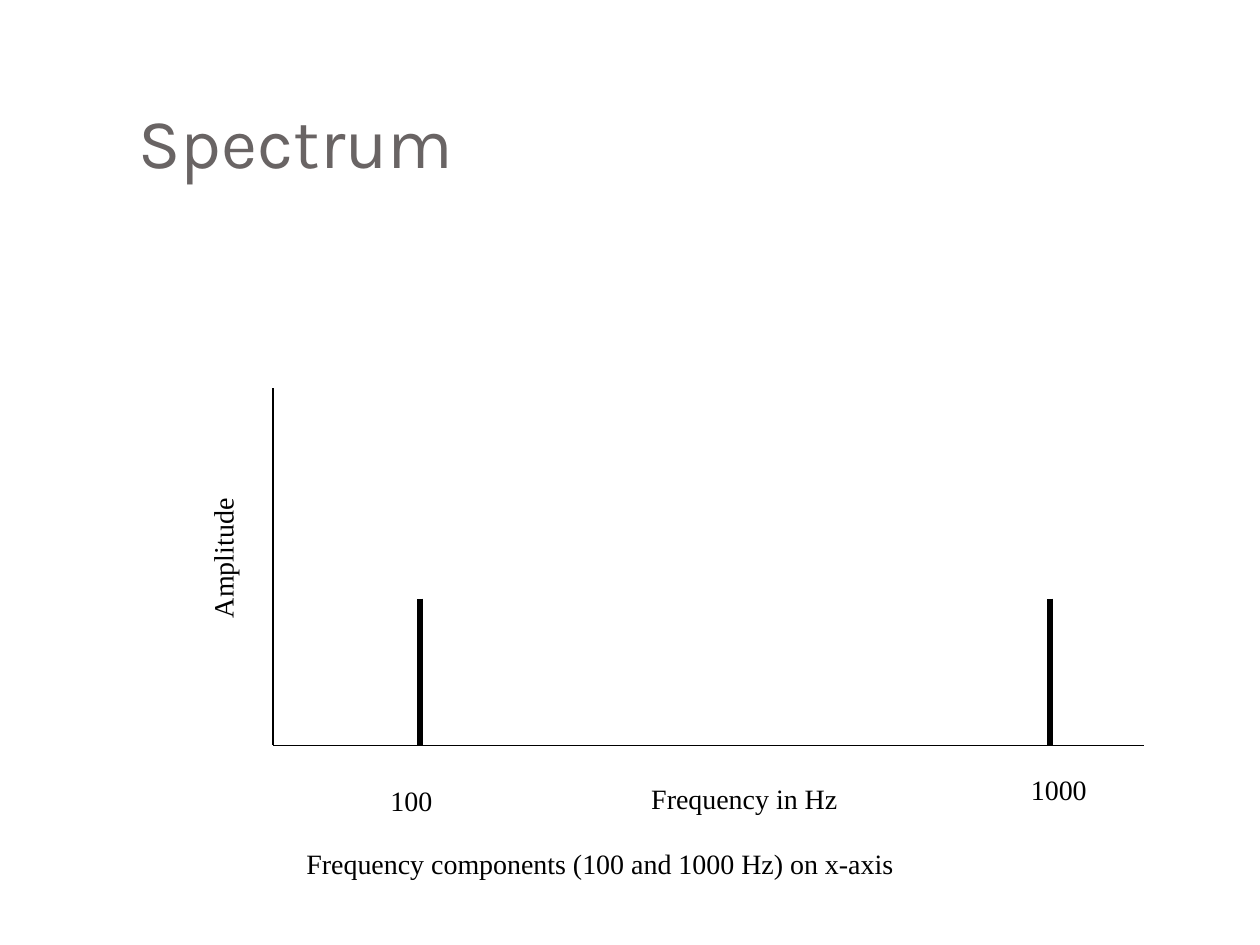
from typing import NamedTuple

from lxml.etree import SubElement
from pptx import Presentation
from pptx.dml.color import RGBColor
from pptx.enum.shapes import MSO_CONNECTOR as Connector
from pptx.enum.text import MSO_ANCHOR as Anchor, MSO_AUTO_SIZE as AutoSize, PP_ALIGN as Align
from pptx.oxml.ns import qn
from pptx.util import Inches, Pt

BLACK = RGBColor(0, 0, 0)
GREY = RGBColor(0x69, 0x64, 0x64)
UNIT = Inches(10) // 120
ORIGIN_COLUMN, BASE_ROW = 26, 71
TOP_ROW, PEAK_ROW, END_COLUMN = 37, 57, 109
LABEL_ROWS = 4.44


class Stroke(NamedTuple):
    start: tuple[float, float]
    end: tuple[float, float]
    weight: float


class Label(NamedTuple):
    text: str
    column: float
    row: float
    columns: float
    wrap: bool = True
    rotation: float = 0


STROKES = [
    Stroke((ORIGIN_COLUMN, TOP_ROW), (ORIGIN_COLUMN, BASE_ROW), 0.75),
    Stroke((ORIGIN_COLUMN, BASE_ROW), (END_COLUMN, BASE_ROW), 0.75),
    *(Stroke((column, PEAK_ROW), (column, BASE_ROW), 3) for column in (40, 100)),
]
LABELS = [
    Label("100", 36, 74, 15),
    Label("1000", 97, 73, 13),
    Label("Frequency in Hz", 60.84, 73.8, 20.16, wrap=False),
    Label("Amplitude", 12.72, 49.32, 17, rotation=270),
    Label("Frequency components (100 and 1000 Hz) on x-axis", 28, 80, 58.44, wrap=False),
]


def grid(*cells: float) -> list[int]:
    return [round(cell * UNIT) for cell in cells]


def write(frame, text: str, *, font: str, size: float, color: RGBColor) -> None:
    para = frame.paragraphs[0]
    para.alignment = Align.LEFT
    span = para.add_run()
    span.text = text
    span.font.name = font
    span.font.size = Pt(size)
    span.font.color.rgb = color


def draw_title(page) -> None:
    title = page.shapes.title
    title.left, title.top, title.width, title.height = grid(12, 3.6, 102, 15)
    frame = title.text_frame
    frame.vertical_anchor = Anchor.BOTTOM
    frame.auto_size = AutoSize.NONE
    frame.margin_bottom = Inches(0.1)
    write(frame, "Spectrum", font="Karla", size=40, color=GREY)


def draw_stroke(page, stroke: Stroke) -> None:
    line = page.shapes.add_connector(Connector.STRAIGHT, *grid(*stroke.start, *stroke.end))
    line.line.color.rgb = BLACK
    line.line.width = Pt(stroke.weight)
    SubElement(line._element.spPr, qn("a:effectLst"))


def draw_label(page, label: Label) -> None:
    box = page.shapes.add_textbox(*grid(label.column, label.row, label.columns, LABEL_ROWS))
    box.rotation = label.rotation
    frame = box.text_frame
    frame.word_wrap = label.wrap
    frame.auto_size = AutoSize.SHAPE_TO_FIT_TEXT
    write(frame, label.text, font="Times New Roman", size=16, color=BLACK)


def main() -> None:
    deck = Presentation()
    deck.slide_width, deck.slide_height = grid(120, 90)
    page = deck.slides.add_slide(deck.slide_layouts[5])
    draw_title(page)
    for stroke in STROKES:
        draw_stroke(page, stroke)
    for label in LABELS:
        draw_label(page, label)
    deck.save("out.pptx")


if __name__ == "__main__":
    main()
